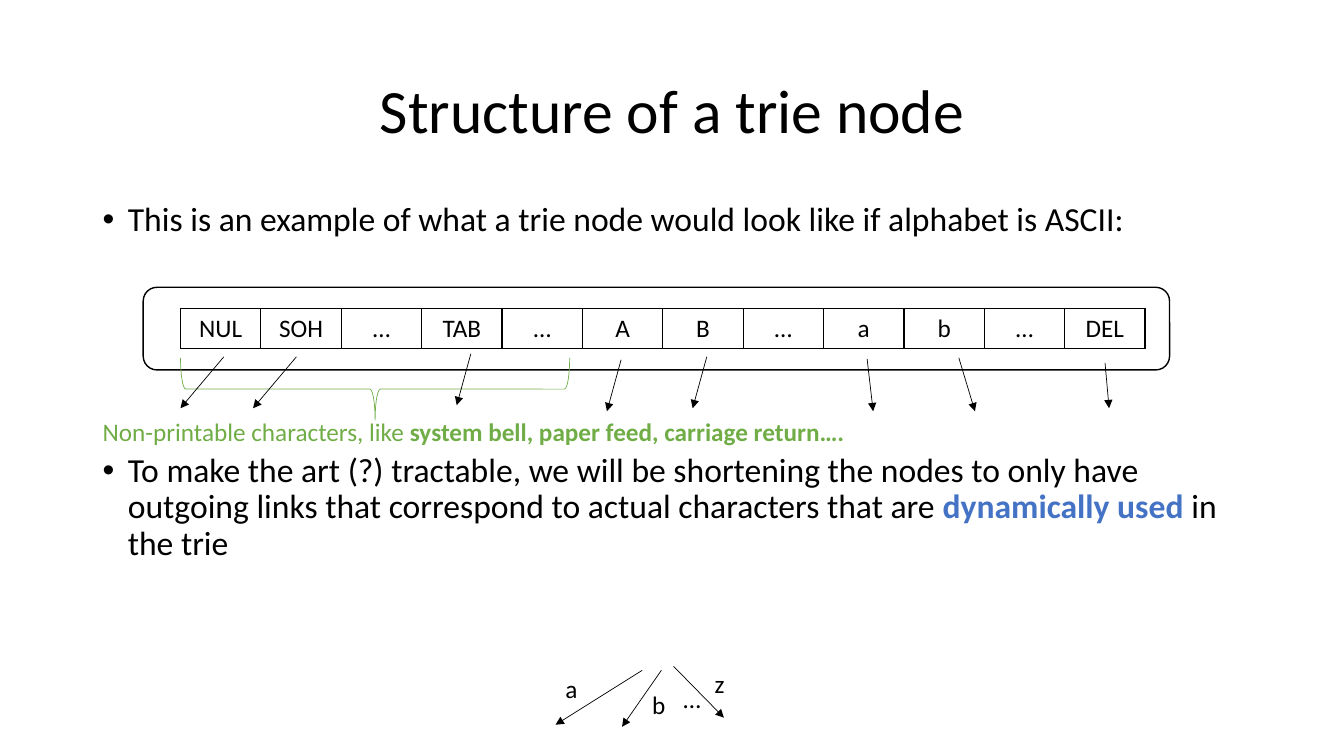
from pptx import Presentation
from pptx.dml.color import RGBColor
from pptx.enum.shapes import MSO_CONNECTOR as Link, MSO_SHAPE as Form
from pptx.enum.text import MSO_ANCHOR as Anchor, PP_ALIGN as Align
from pptx.oxml.ns import qn
from pptx.util import Inches, Pt
from lxml.etree import SubElement as Sub

BLACK = RGBColor(0x00, 0x00, 0x00)
GREEN = RGBColor(0x70, 0xAD, 0x47)
BLUE = RGBColor(0x44, 0x72, 0xC4)

CELLS = ["NUL", "SOH", "…", "TAB", "…", "A", "B", "…", "a", "b", "…", "DEL"]
LINKS = [
    (2.22, 3.54, 1.79, 4.05), (2.94, 3.54, 2.51, 4.05),
    (4.67, 3.51, 4.53, 4.02), (6.16, 3.57, 6.02, 4.08),
    (7.01, 3.54, 6.87, 4.05), (8.6, 3.56, 8.66, 4.08),
    (9.51, 3.55, 9.67, 4.08), (10.96, 3.6, 11, 4.05),
    (6.37, 6.65, 5.51, 7.19), (6.56, 6.65, 6.17, 7.21),
    (6.68, 6.61, 7.18, 7.12),
]
MARKS = [("a", 5.51, 6.63), ("b", 6.37, 6.79), ("z", 6.99, 6.58), ("…", 6.68, 6.73)]


def write(frame, *runs, size=18, color=BLACK, align=Align.LEFT, space=None, bullet=False):
    """Fill the first paragraph with runs, each a string or (text, color) in bold."""
    para = frame.paragraphs[0]
    if bullet:
        props = para._p.get_or_add_pPr()
        props.set("marL", str(Inches(0.25)))
        props.set("indent", str(-Inches(0.25)))
        Sub(props, qn("a:buFont"), typeface="Arial")
        Sub(props, qn("a:buChar"), char="•")
    para.alignment = align
    para.line_spacing = space
    for item in runs:
        bold = isinstance(item, tuple)
        words, tint = item if bold else (item, color)
        run = para.add_run()
        run.text = words
        run.font.name = "Calibri"
        run.font.size = Pt(size)
        run.font.bold = bold
        run.font.color.rgb = tint


class Board:
    """Holds the slide and draws each kind of element on it."""

    def __init__(self, slide):
        self.slide = slide
        self.shapes = slide.shapes

    def text(self, box, *runs, anchor=Anchor.TOP, **style):
        frame = self.shapes.add_textbox(*map(Inches, box)).text_frame
        frame.word_wrap = True
        frame.vertical_anchor = anchor
        write(frame, *runs, **style)

    def shape(self, form, box, color, width, turn=0):
        shape = self.shapes.add_shape(form, *map(Inches, box))
        shape.shadow.inherit = False
        shape.fill.background()
        shape.line.color.rgb = color
        shape.line.width = Pt(width)
        shape.rotation = turn

    def arrow(self, ends):
        line = self.shapes.add_connector(Link.STRAIGHT, *map(Inches, ends))
        line.line.color.rgb = BLACK
        line.line.width = Pt(0.5)
        Sub(line.line._get_or_add_ln(), qn("a:tailEnd"), type="triangle")
        Sub(line._element.spPr, qn("a:effectLst"))

    def table(self, box, words):
        table = self.shapes.add_table(1, len(words), *map(Inches, box)).table
        table.first_row = table.horz_banding = False
        for col, word in enumerate(words):
            table.columns[col].width = Inches(box[2] / len(words))
            cell = table.cell(0, col)
            write(cell.text_frame, word, align=Align.CENTER)
            props = cell._tc.get_or_add_tcPr()
            for side in ("lnL", "lnR", "lnT", "lnB"):
                edge = Sub(props, qn("a:" + side), w=str(Pt(1)))
                fill = Sub(edge, qn("a:solidFill"))
                Sub(fill, qn("a:srgbClr"), val=str(BLACK))
            cell.fill.background()


def main():
    deck = Presentation()
    deck.slide_width, deck.slide_height = Inches(13.33), Inches(7.5)
    board = Board(deck.slides.add_slide(deck.slide_layouts[6]))
    board.text((0.92, 0.4, 11.5, 1.45), "Structure of a trie node", size=44,
               align=Align.CENTER, anchor=Anchor.MIDDLE, space=0.9)
    board.text((0.92, 1.96, 11.5, 0.5),
               "This is an example of what a trie node would look like if alphabet is ASCII:",
               size=24, space=0.9, bullet=True)
    board.text((0.92, 4.45, 11.5, 1.25),
               "To make the art (?) tractable, we will be shortening the nodes to only have "
               "outgoing links that correspond to actual characters that are ",
               ("dynamically used ", BLUE), "in the trie",
               size=24, space=0.9, bullet=True)
    board.shape(Form.ROUNDED_RECTANGLE, (1.42, 2.85, 10.18, 0.82), BLACK, 1)
    board.table((1.79, 3.06, 9.57, 0.4), CELLS)
    board.shape(Form.RIGHT_BRACE, (3.41, 1.93, 0.62, 3.86), GREEN, 0.5, turn=90)
    board.text((0.92, 4.08, 7.77, 0.4), "Non-printable characters, like ",
               ("system bell, paper feed, carriage return….", GREEN), color=GREEN)
    for ends in LINKS:
        board.arrow(ends)
    for mark, left, top in MARKS:
        board.text((left, top, 0.39, 0.4), mark)
    deck.save("out.pptx")


if __name__ == "__main__":
    main()
